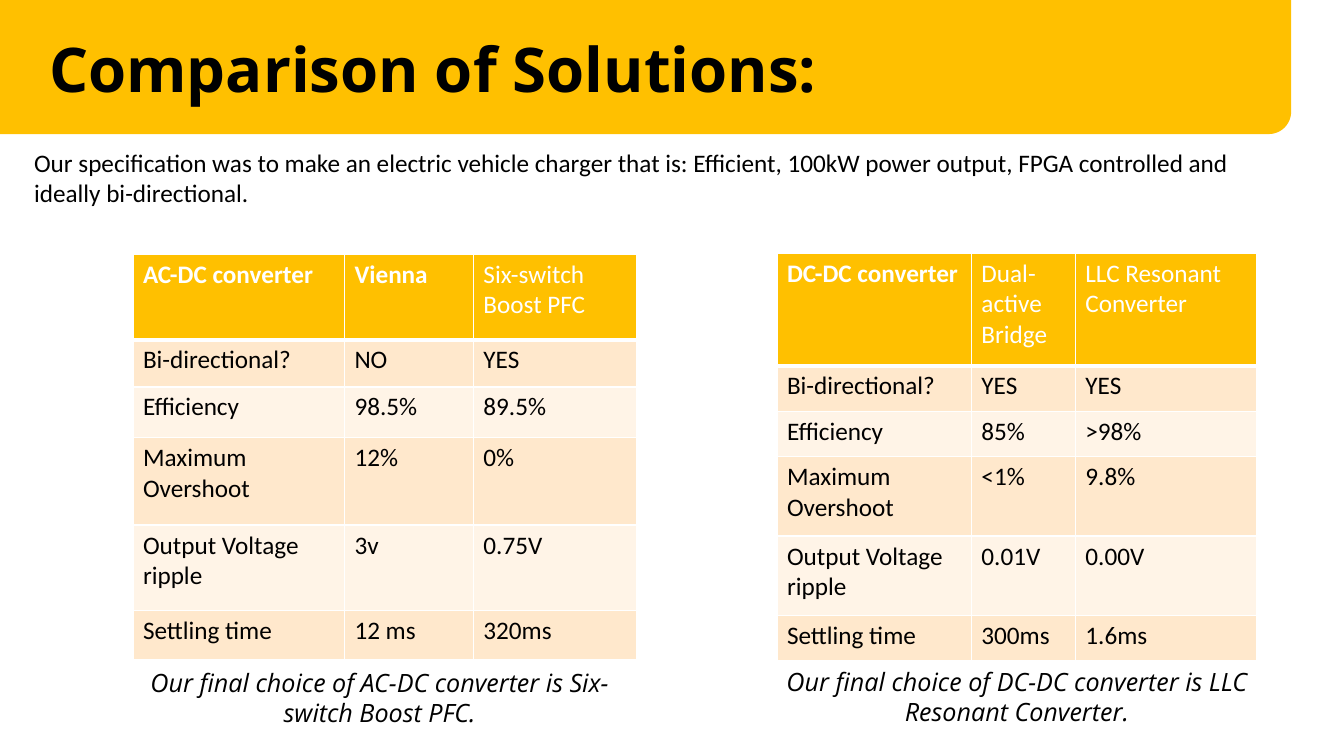
from typing import NamedTuple

from lxml import etree
from pptx import Presentation
from pptx import util as u
from pptx.dml import color
from pptx.enum import shapes, text
from pptx.oxml import ns

AMBER, BLACK, WHITE = "FFC000", "000000", "FFFFFF"
BANDS = ("FFE8CC", "FFF4E7")


class Box(NamedTuple):
    x: float
    y: float
    w: float
    h: float


class Style(NamedTuple):
    font: str = "Calibri"
    size: float = 18
    colour: str = BLACK
    bold: bool = False
    italic: bool = False


class Comparison(NamedTuple):
    x: float
    y: float
    widths: tuple[float, ...]
    heights: tuple[float, ...]
    header: tuple[str, ...]
    bold_headers: int
    values: tuple[tuple[str, str], ...]
    caption_box: Box
    caption: str


TITLE = Style("Open Sans", 44, bold=True)
BODY = Style()
CAPTION = Style("Open Sans", italic=True)

CRITERIA = ("Bi-directional?", "Efficiency", "Maximum Overshoot",
            "Output Voltage ripple", "Settling time")
COMPARISONS = (
    Comparison(3.35, 6.4, (5.33, 3.25, 4.11),
               (2.16, 1.19, 1.27, 2.21, 2.16, 1.22),
               ("AC-DC converter", "Vienna", "Six-switch Boost PFC"), 2,
               (("NO", "YES"), ("98.5%", "89.5%"), ("12%", "0%"),
                ("3v", "0.75V"), ("12 ms", "320ms")),
               Box(3.12, 16.69, 12.9, 2.57),
               "Our final choice of AC-DC converter is\u00a0Six-switch\u00a0Boost PFC."),
    Comparison(19.58, 6.38, (4.9, 2.62, 4.57),
               (2.84, 1.14, 1.14, 2.01, 2.01, 1.14),
               ("DC-DC converter", "Dual-active Bridge", "LLC Resonant Converter"), 1,
               (("YES", "YES"), ("85%", ">98%"), ("<1%", "9.8%"),
                ("0.01V", "0.00V"), ("300ms", "1.6ms")),
               Box(19.56, 16.66, 12.14, 2.57),
               "Our final choice of DC-DC converter is\u00a0LLC Resonant\u00a0Converter."),
)


def rgb(value: str) -> color.RGBColor:
    return color.RGBColor.from_string(value)


def add_run(p, words: str, style: Style) -> None:
    r = p.add_run()
    r.text = words
    r.font.name = style.font
    r.font.size = u.Pt(style.size)
    r.font.bold = style.bold
    r.font.italic = style.italic
    r.font.color.rgb = rgb(style.colour)


def add_text(slide, box: Box, words: str, style: Style,
             align=text.PP_ALIGN.LEFT, anchor=text.MSO_ANCHOR.TOP,
             spacing: float = 1.0) -> None:
    tf = slide.shapes.add_textbox(*map(u.Cm, box)).text_frame
    tf.word_wrap = True
    tf.vertical_anchor = anchor
    p = tf.paragraphs[0]
    p.alignment = align
    p.line_spacing = spacing
    add_run(p, words, style)


def add_borders(cell, bottom: float, top: float) -> None:
    tc_pr = cell._tc.get_or_add_tcPr()
    for side, width in (("L", 1), ("R", 1), ("T", top), ("B", bottom)):
        ln = etree.SubElement(tc_pr, ns.qn(f"a:ln{side}"), w=str(u.Pt(width)))
        fill = etree.SubElement(ln, ns.qn("a:solidFill"))
        etree.SubElement(fill, ns.qn("a:srgbClr"), val=WHITE)


def add_comparison(slide, item: Comparison) -> None:
    rows = [item.header] + [(name, *pair) for name, pair in zip(CRITERIA, item.values)]
    box = Box(item.x, item.y, sum(item.widths), sum(item.heights))
    table = slide.shapes.add_table(len(rows), len(item.widths), *map(u.Cm, box)).table
    for column, width in zip(table.columns, item.widths):
        column.width = u.Cm(width)
    for i, (row, height) in enumerate(zip(rows, item.heights)):
        table.rows[i].height = u.Cm(height)
        for j, words in enumerate(row):
            cell = table.cell(i, j)
            add_borders(cell, bottom=3 if i == 0 else 1, top=3 if i == 1 else 1)
            cell.fill.solid()
            cell.fill.fore_color.rgb = rgb(BANDS[(i - 1) % 2] if i else AMBER)
            style = BODY if i else Style(colour=WHITE, bold=j < item.bold_headers)
            add_run(cell.text_frame.paragraphs[0], words, style)
    add_text(slide, item.caption_box, item.caption, CAPTION, text.PP_ALIGN.CENTER)


def add_banner(slide, box: Box) -> None:
    sp = slide.shapes.add_shape(shapes.MSO_SHAPE.ROUND_1_RECTANGLE, *map(u.Cm, box))
    sp.shadow.inherit = False
    sp.fill.solid()
    sp.fill.fore_color.rgb = rgb(AMBER)
    sp.line.fill.background()
    sp._element.spPr.find(ns.qn("a:xfrm")).set("flipV", "1")


prs = Presentation()
prs.slide_width, prs.slide_height = u.Cm(33.87), u.Cm(19.05)
slide = prs.slides.add_slide(prs.slide_layouts[6])

add_banner(slide, Box(0, 0, 32.54, 3.38))
add_text(slide, Box(0.99, 0, 25.78, 3.68), "Comparison of Solutions:", TITLE,
         anchor=text.MSO_ANCHOR.MIDDLE, spacing=0.9)
for comparison in COMPARISONS:
    add_comparison(slide, comparison)
add_text(slide, Box(0.61, 3.58, 31.75, 1.8),
         "Our specification was to make an electric vehicle charger that is: Efficient,"
         "\u00a0100kW power output, FPGA controlled and ideally bi-directional.", BODY)

prs.save("out.pptx")
